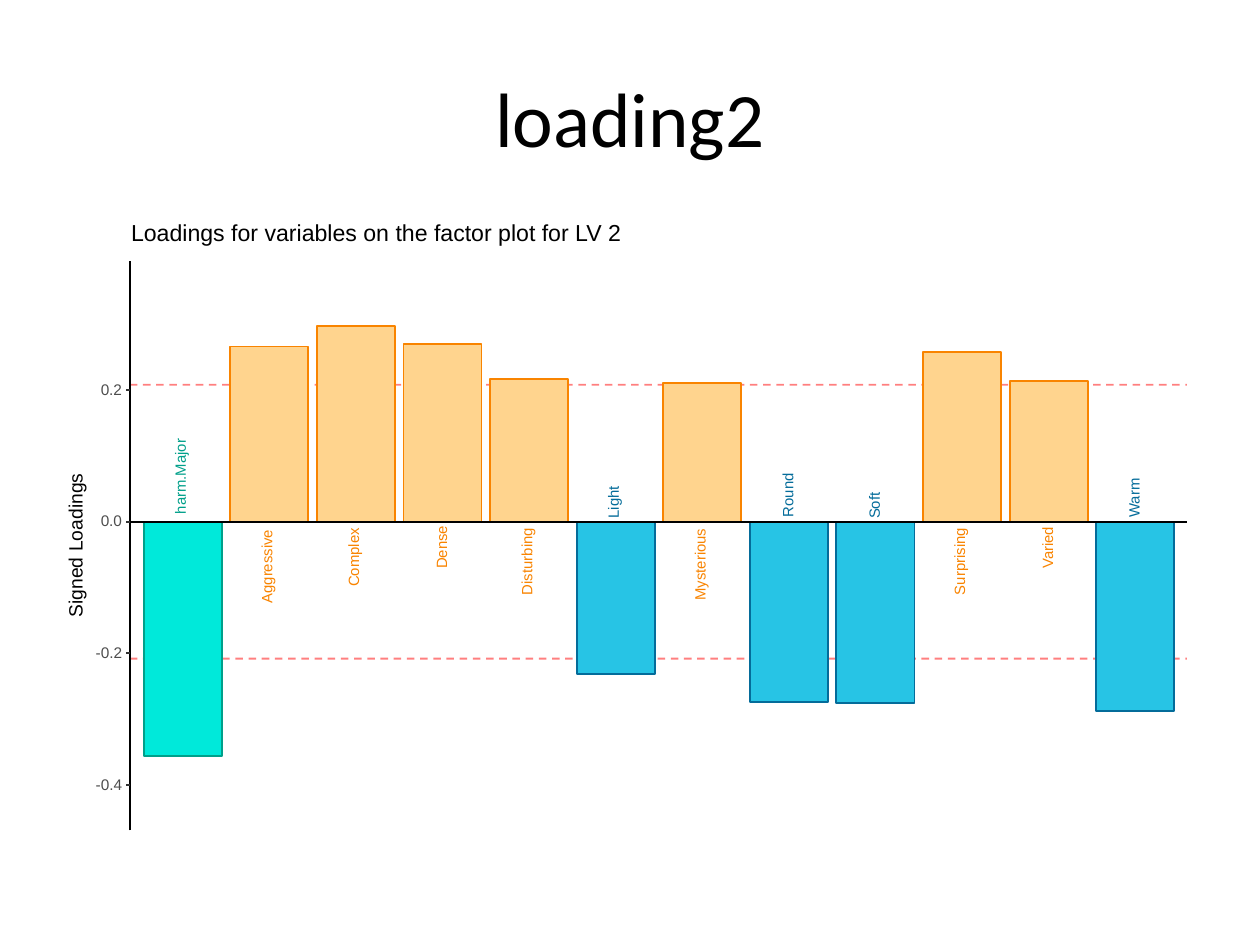
from dataclasses import dataclass
from pptx import Presentation
from pptx import util as u
from pptx.dml.color import RGBColor
from pptx.enum import dml, shapes, text
from pptx.oxml.ns import qn
from lxml import etree


@dataclass(frozen=True)
class Theme:
    black: str = "000000"
    gray: str = "4D4D4D"
    tick: str = "333333"
    red: str = "FF0000"
    white: str = "FFFFFF"
    teal: tuple = ("00E9DA", "00A08A")
    gold: tuple = ("FFD48E", "F98400")
    blue: tuple = ("27C4E5", "046C9A")
    head: str = "Calibri"
    body: str = "Arial"
    title: float = 44
    sub: float = 13.2
    axis: float = 11
    mark: float = 8.8
    name: float = 8.5
    line: float = 1.07


T = Theme()
LEFT, RIGHT, TOP, BASE, ZERO = 1.03, 9.42, 2.07, 6.59, 4.14
FIRST, PITCH, WIDE = 1.14, 7.56 / 11, 0.62
SCALE = 2.09 / 40
LIMIT = 20.8
SLACK = 0.04

BARS = [
    ("harm.Major", -35.6, 0.6, T.teal),
    ("Aggressive", 26.6, 0.59, T.gold),
    ("Complex", 29.7, 0.47, T.gold),
    ("Dense", 27, 0.34, T.gold),
    ("Disturbing", 21.7, 0.53, T.gold),
    ("Light", -23.1, 0.26, T.blue),
    ("Mysterious", 21.1, 0.57, T.gold),
    ("Round", -27.4, 0.35, T.blue),
    ("Soft", -27.5, 0.21, T.blue),
    ("Surprising", 25.8, 0.53, T.gold),
    ("Varied", 21.4, 0.34, T.gold),
    ("Warm", -28.7, 0.32, T.blue),
]


def level(val):
    return ZERO - val * SCALE


def write(slide, words, x, y, w, h, size, color=T.black, font=T.body,
          turn=0, align=text.PP_ALIGN.LEFT, wrap=False, tight=True):
    if turn:
        x, y, w = x - SLACK / 2, y - SLACK / 2, w + SLACK
    box = slide.shapes.add_textbox(*map(u.Inches, (x, y, w, h)))
    box.rotation = turn
    frame = box.text_frame
    frame.word_wrap = wrap
    frame.vertical_anchor = text.MSO_ANCHOR.MIDDLE
    para = frame.paragraphs[0]
    para.alignment = align
    if tight:
        frame.margin_left = frame.margin_right = 0
        frame.margin_top = frame.margin_bottom = 0
        para.line_spacing = u.Pt(size)
    run = para.add_run()
    run.text = words
    run.font.size = u.Pt(size)
    run.font.name = font
    run.font.color.rgb = RGBColor.from_string(color)


def block(slide, x, y, w, h, fill, edge):
    rect = slide.shapes.add_shape(
        shapes.MSO_SHAPE.RECTANGLE, *map(u.Inches, (x, y, w, h)))
    rect.shadow.inherit = False
    rect.fill.solid()
    rect.fill.fore_color.rgb = RGBColor.from_string(fill)
    rect.line.color.rgb = RGBColor.from_string(edge)
    rect.line.width = u.Pt(T.line)


def rule(slide, x1, y1, x2, y2, color=T.black, dash=False):
    line = slide.shapes.add_connector(
        shapes.MSO_CONNECTOR.STRAIGHT, *map(u.Inches, (x1, y1, x2, y2)))
    line.line.width = u.Pt(T.line)
    line.line.color.rgb = RGBColor.from_string(color)
    props = line._element.spPr
    if dash:
        line.line.dash_style = dml.MSO_LINE.DASH
        tint = props.find(".//" + qn("a:srgbClr"))
        etree.SubElement(tint, qn("a:alpha")).set("val", "50000")
    etree.SubElement(props, qn("a:effectLst"))


def bar(slide, spot, val, fill, edge):
    top = min(ZERO, level(val))
    block(slide, FIRST + spot * PITCH, top, WIDE, abs(val) * SCALE, fill, edge)


def label(slide, spot, name, val, w, color):
    deep = any(c in "gjpy" for c in name)
    h = 0.11 if deep else 0.09
    x = FIRST + spot * PITCH + WIDE / 2 - (0.01 if deep else 0)
    y = ZERO + (0.6 if val > 0 else -0.6) * w
    write(slide, name, x - w / 2, y - h / 2, w, h, T.name, color, turn=270)


def scale(slide):
    rule(slide, LEFT, ZERO, RIGHT, ZERO)
    rule(slide, LEFT, BASE, LEFT, TOP)
    for val in (-40, -20, 0, 20):
        y = level(val)
        w = 0.21 if val < 0 else 0.17
        write(slide, f"{val / 100:.1f}", 0.97 - w, y - 0.04, w, 0.09,
              T.mark, T.gray)
        rule(slide, 1, y, LEFT, y, T.tick)


def main():
    deck = Presentation()
    deck.slide_width, deck.slide_height = u.Inches(10), u.Inches(7.5)
    slide = deck.slides.add_slide(deck.slide_layouts[6])
    write(slide, "loading2", 0.5, 0.3, 9, 1.25, T.title, font=T.head,
          align=text.PP_ALIGN.CENTER, wrap=True, tight=False)
    block(slide, 0.5, 1.75, 9, 4.95, T.white, T.white)
    for val in (LIMIT, -LIMIT):
        rule(slide, LEFT, level(val), RIGHT, level(val), T.red, dash=True)
    for spot, (name, val, w, (fill, edge)) in enumerate(BARS):
        bar(slide, spot, val, fill, edge)
        label(slide, spot, name, val, w, edge)
    scale(slide)
    write(slide, "Signed Loadings", 0.04, 4.26, 1.14, 0.14, T.axis, turn=270)
    write(slide, "Loadings for variables on the factor plot for LV 2",
          1.04, 1.78, 3.9, 0.17, T.sub)
    deck.save("out.pptx")


main()
